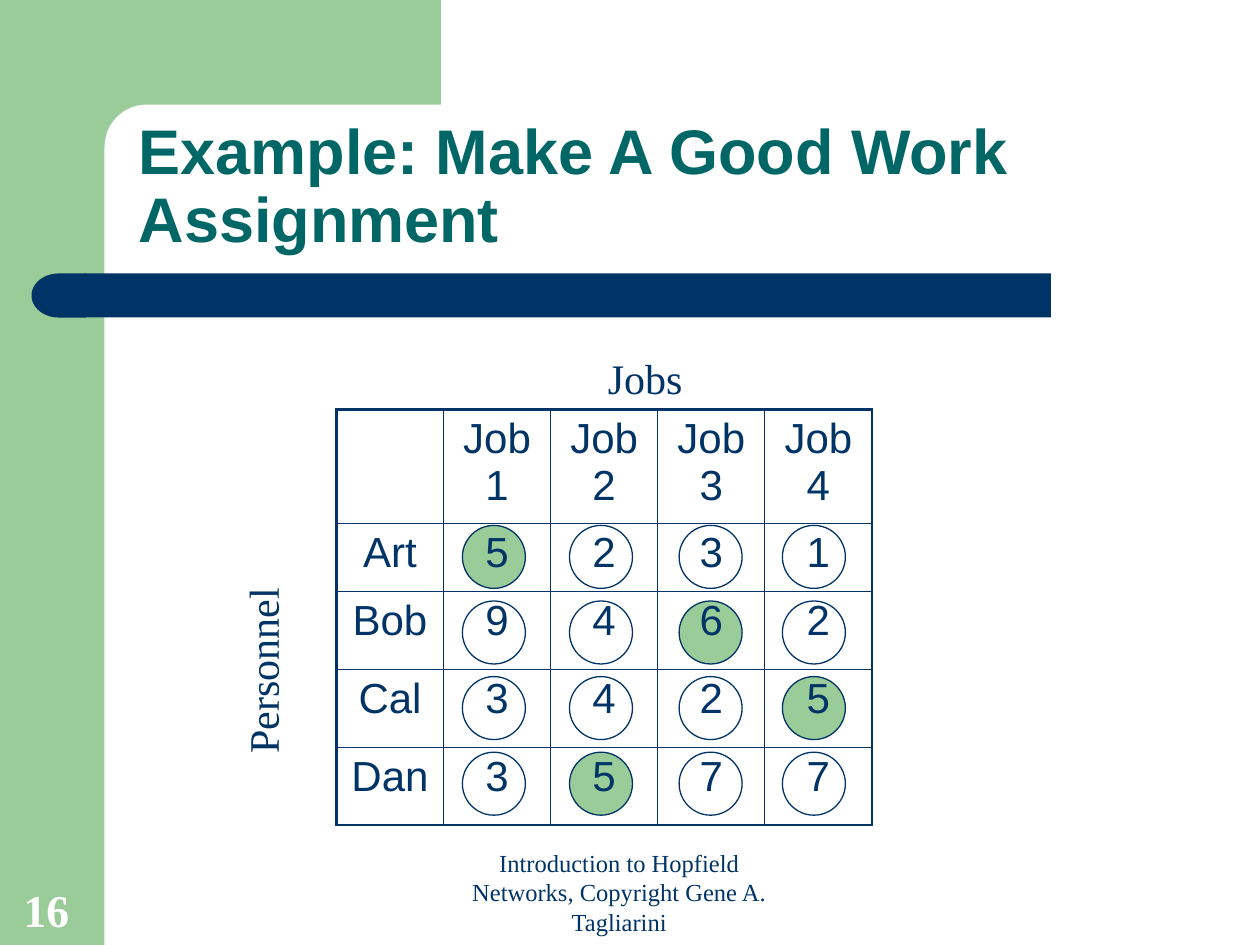
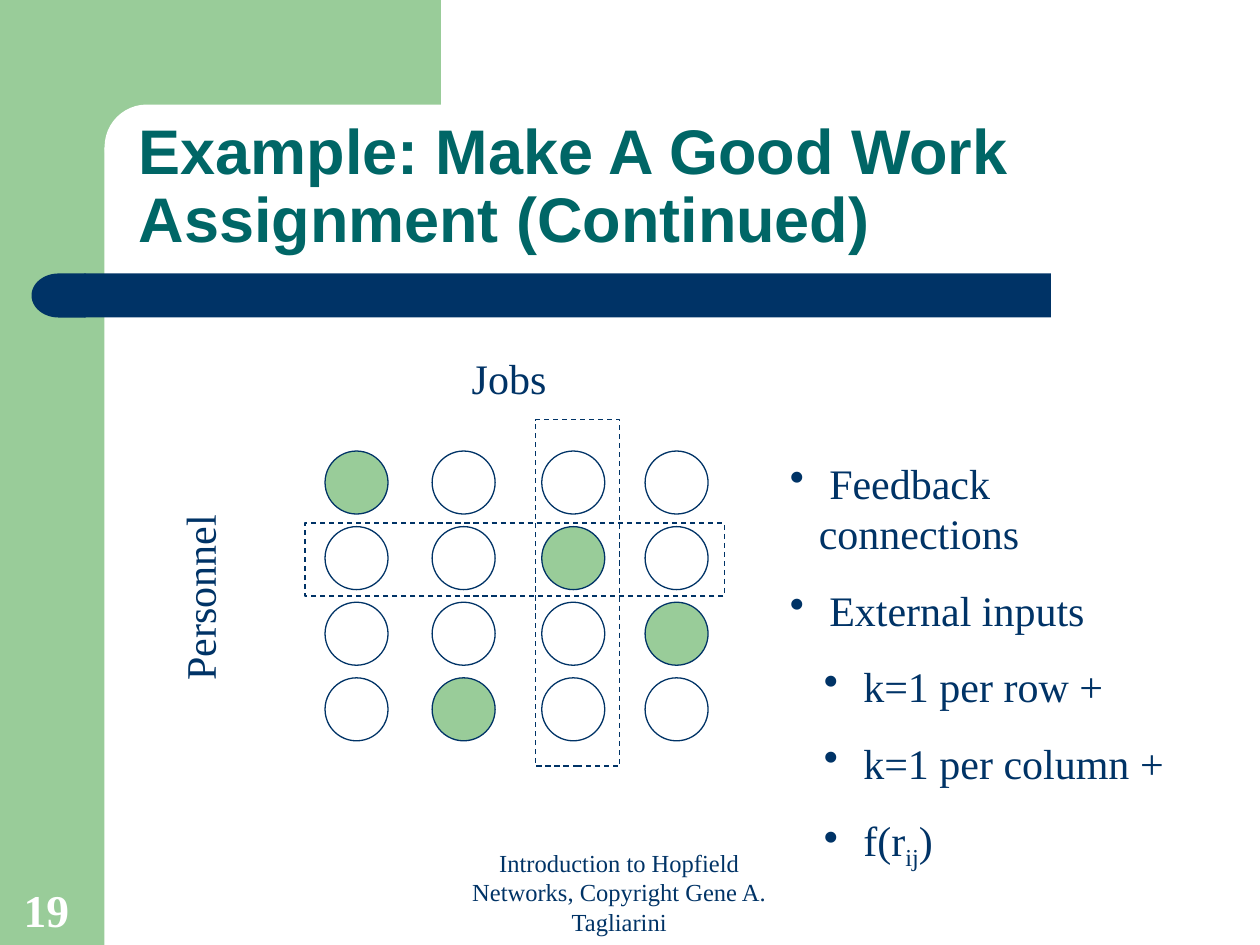
from dataclasses import dataclass
from typing import Optional

from lxml.etree import SubElement
from pptx import Presentation
from pptx.dml.color import RGBColor
from pptx.enum.dml import MSO_LINE_DASH_STYLE as Dash
from pptx.enum.shapes import MSO_SHAPE as Preset, PP_PLACEHOLDER as Holder
from pptx.enum.text import MSO_ANCHOR as Anchor, MSO_AUTO_SIZE as AutoSize, PP_ALIGN as Align
from pptx.oxml.ns import qn
from pptx.util import Inches, Pt

GREEN, NAVY, TEAL, WHITE = "99CC99", "003366", "006666", "FFFFFF"
SANS, SERIF = "Arial", "Times New Roman"
FOOTER = "Introduction to Hopfield Networks, Copyright Gene A. Tagliarini"

PEOPLE = ["Art", "Bob", "Cal", "Dan"]
RATINGS = [[5, 2, 3, 1], [9, 4, 6, 2], [3, 4, 2, 5], [3, 5, 7, 7]]
CHOSEN_JOBS = [0, 2, 3, 1]  # job index picked for each person

NODE_SIZE, NODE_ROW_STEP = 0.5, 0.6
NODE_COLUMNS = [0, 0.85, 1.72, 2.54]
COLUMN_WIDTH = 0.85
ROW_HEIGHTS = [0.9, 0.54, 0.62, 0.62, 0.62]
THIN, THICK = 0.45, 1.47


@dataclass(frozen=True)
class Area:
    left: float
    top: float
    width: float
    height: float

    def lengths(self) -> list:
        return [Inches(n) for n in (self.left, self.top, self.width, self.height)]


@dataclass(frozen=True)
class Band:
    preset: Preset
    area: Area
    fill: str
    rotation: int = 0
    rounding: Optional[float] = None


@dataclass(frozen=True)
class Bullet:
    """Text between underscores is subscript."""
    text: str
    level: int = 0


BANDS = [
    Band(Preset.RECTANGLE, Area(0, 0, 0.83, 7.5), GREEN),
    Band(Preset.RECTANGLE, Area(0.75, 0, 2.75, 1.17), GREEN),
    Band(Preset.ROUNDED_RECTANGLE, Area(0.83, 0.83, 5.58, 0.67), WHITE, rounding=0.5),
    Band(Preset.RECTANGLE, Area(0.67, 2.17, 7.67, 0.35), NAVY),
    Band(Preset.FLOWCHART_DELAY, Area(0.25, 2.17, 0.43, 0.35), NAVY, rotation=180),
]
BULLETS = [
    Bullet(" Feedback connections"),
    Bullet(" External inputs"),
    Bullet(" k=1 per row +", 1),
    Bullet(" k=1 per column +", 1),
    Bullet(" f(r_ij_)", 1),
]


def rgb(colour: str) -> RGBColor:
    return RGBColor.from_string(colour)


def write(para, text: str, *, size: float = 24, font: str = SERIF, colour: str = NAVY,
          bold: bool = False, align: Align = Align.LEFT, before: float = 0,
          line_spacing: Optional[float] = None) -> None:
    para.alignment = align
    para.space_before = Pt(before)
    if line_spacing:
        para.line_spacing = line_spacing
    for index, piece in enumerate(text.split("_")):
        span = para.add_run()
        span.text = piece
        span.font.size, span.font.name, span.font.bold = Pt(size), font, bold
        span.font.color.rgb = rgb(colour)
        if index % 2:
            span.font._element.set("baseline", "-25000")


def indent(para, left: float, first: float = 0):
    properties = para._p.get_or_add_pPr()
    properties.set("marL", str(Inches(left)))
    properties.set("indent", str(Inches(first)))
    return properties


def add_text_box(page, area: Area, anchor: Anchor = Anchor.TOP, rotation: int = 0):
    box = page.shapes.add_textbox(*area.lengths())
    box.rotation = rotation
    box.text_frame.word_wrap = True
    box.text_frame.vertical_anchor = anchor
    return box.text_frame


def add_shape(page, preset: Preset, area: Area, fill: Optional[str] = None,
              line: Optional[str] = None, dashed: bool = False):
    shape = page.shapes.add_shape(preset, *area.lengths())
    shape.shadow.inherit = False
    if fill:
        shape.fill.solid()
        shape.fill.fore_color.rgb = rgb(fill)
    else:
        shape.fill.background()
    if line:
        shape.line.color.rgb = rgb(line)
        shape.line.width = Pt(0.75)
        if dashed:
            shape.line.dash_style = Dash.DASH
    else:
        shape.line.fill.background()
    return shape


def move_bands_to_layout(page) -> None:
    """Draw the bands on the page, then hand them to its layout for every page to share."""
    layout = page.slide_layout
    tree = layout.shapes.element
    for holder in list(layout.placeholders):
        if holder.placeholder_format.type != Holder.TITLE:
            tree.remove(holder.element)
    for position, band in enumerate(BANDS, start=2):
        shape = add_shape(page, band.preset, band.area, band.fill)
        shape.rotation = band.rotation
        if band.rounding is not None:
            shape.adjustments[0] = band.rounding
        tree.insert(position, shape.element)


def fill_title(page, text: str) -> None:
    title = page.shapes.title
    title.left, title.top, title.width, title.height = Area(1, 0.83, 8.75, 1.25).lengths()
    frame = title.text_frame
    frame.word_wrap, frame.auto_size = True, AutoSize.NONE
    frame.vertical_anchor = Anchor.BOTTOM
    write(frame.paragraphs[0], text, size=36, font=SANS, colour=TEAL, bold=True,
          line_spacing=0.9)


def add_footer(page, number: int) -> None:
    para = add_text_box(page, Area(3.21, 7.14, 3.17, 0.34), Anchor.BOTTOM).paragraphs[0]
    write(para, FOOTER, size=14, align=Align.CENTER)
    indent(para, 0.24)
    para = add_text_box(page, Area(0.09, 6.94, 0.64, 0.54), Anchor.BOTTOM).paragraphs[0]
    write(para, str(number), size=26, colour=WHITE, bold=True)


def add_axis_labels(page, jobs: Area, personnel: Area) -> None:
    write(add_text_box(page, jobs).paragraphs[0], "Jobs", align=Align.CENTER, before=15)
    frame = add_text_box(page, personnel, rotation=270)
    write(frame.paragraphs[0], "Personnel", before=15)


def add_nodes(page, left: float, top: float) -> None:
    """Draw one circle per person and job, filled where the job is assigned."""
    for row, chosen in enumerate(CHOSEN_JOBS):
        for column, offset in enumerate(NODE_COLUMNS):
            area = Area(left + offset, top + row * NODE_ROW_STEP, NODE_SIZE, NODE_SIZE)
            add_shape(page, Preset.OVAL, area, GREEN if column == chosen else None, NAVY)


def set_borders(cell, widths: dict) -> None:
    properties = cell._tc.get_or_add_tcPr()
    for side, width in widths.items():
        line = SubElement(properties, qn(f"a:ln{side}"), w=str(Pt(width)))
        SubElement(SubElement(line, qn("a:solidFill")), qn("a:srgbClr"), val=NAVY)


def add_rating_table(page) -> None:
    rows = [[""] + [f"Job {number}" for number in range(1, 5)]]
    rows += [[person, *ratings] for person, ratings in zip(PEOPLE, RATINGS)]
    last_row, last_column = len(rows) - 1, len(rows[0]) - 1
    area = Area(2.67, 3.25, COLUMN_WIDTH * len(rows[0]), sum(ROW_HEIGHTS))
    table = page.shapes.add_table(len(rows), len(rows[0]), *area.lengths()).table
    table.first_row = table.horz_banding = False
    for column in table.columns:
        column.width = Inches(COLUMN_WIDTH)
    for row, values in enumerate(rows):
        table.rows[row].height = Inches(ROW_HEIGHTS[row])
        for column, value in enumerate(values):
            cell = table.cell(row, column)
            outer = {"L": column == 0, "R": column == last_column,
                     "T": row == 0, "B": row == last_row}
            set_borders(cell, {side: THICK if edge else THIN for side, edge in outer.items()})
            cell.fill.background()
            if value != "":
                write(cell.text_frame.paragraphs[0], str(value), font=SANS,
                      align=Align.CENTER, before=6)


def add_bullets(page, area: Area) -> None:
    frame = add_text_box(page, area)
    for index, bullet in enumerate(BULLETS):
        para = frame.add_paragraph() if index else frame.paragraphs[0]
        para.level = bullet.level
        write(para, bullet.text, before=15)
        properties = indent(para, 0.5 if bullet.level else 0.23, -0.23)
        SubElement(SubElement(properties, qn("a:buClr")), qn("a:srgbClr"), val=NAVY)
        SubElement(properties, qn("a:buChar"), char="•")


def build_table_page(page) -> None:
    fill_title(page, "Example: Make A Good Work Assignment")
    add_nodes(page, 3.67, 4.17)
    add_rating_table(page)
    add_axis_labels(page, Area(3.33, 2.75, 3.58, 0.5), Area(1.29, 5.04, 1.58, 0.5))
    add_footer(page, 16)


def build_network_page(page) -> None:
    fill_title(page, "Example: Make A Good Work Assignment (Continued)")
    column_frame, row_frame = Area(4.25, 3.33, 0.67, 2.75), Area(2.42, 4.15, 3.33, 0.58)
    add_shape(page, Preset.RECTANGLE, column_frame, line=NAVY, dashed=True)
    add_nodes(page, 2.58, 3.58)
    add_axis_labels(page, Area(2.25, 2.75, 3.58, 0.5), Area(0.79, 4.46, 1.58, 0.5))
    add_shape(page, Preset.RECTANGLE, row_frame, line=NAVY, dashed=True)
    add_bullets(page, Area(6.17, 3.58, 3.42, 2.99))
    add_footer(page, 19)


def main() -> None:
    deck = Presentation()
    deck.slide_width, deck.slide_height = Inches(10), Inches(7.5)
    title_only = deck.slide_layouts[5]
    table_page, network_page = (deck.slides.add_slide(title_only) for _ in range(2))
    move_bands_to_layout(table_page)
    build_table_page(table_page)
    build_network_page(network_page)
    deck.save("out.pptx")


if __name__ == "__main__":
    main()
